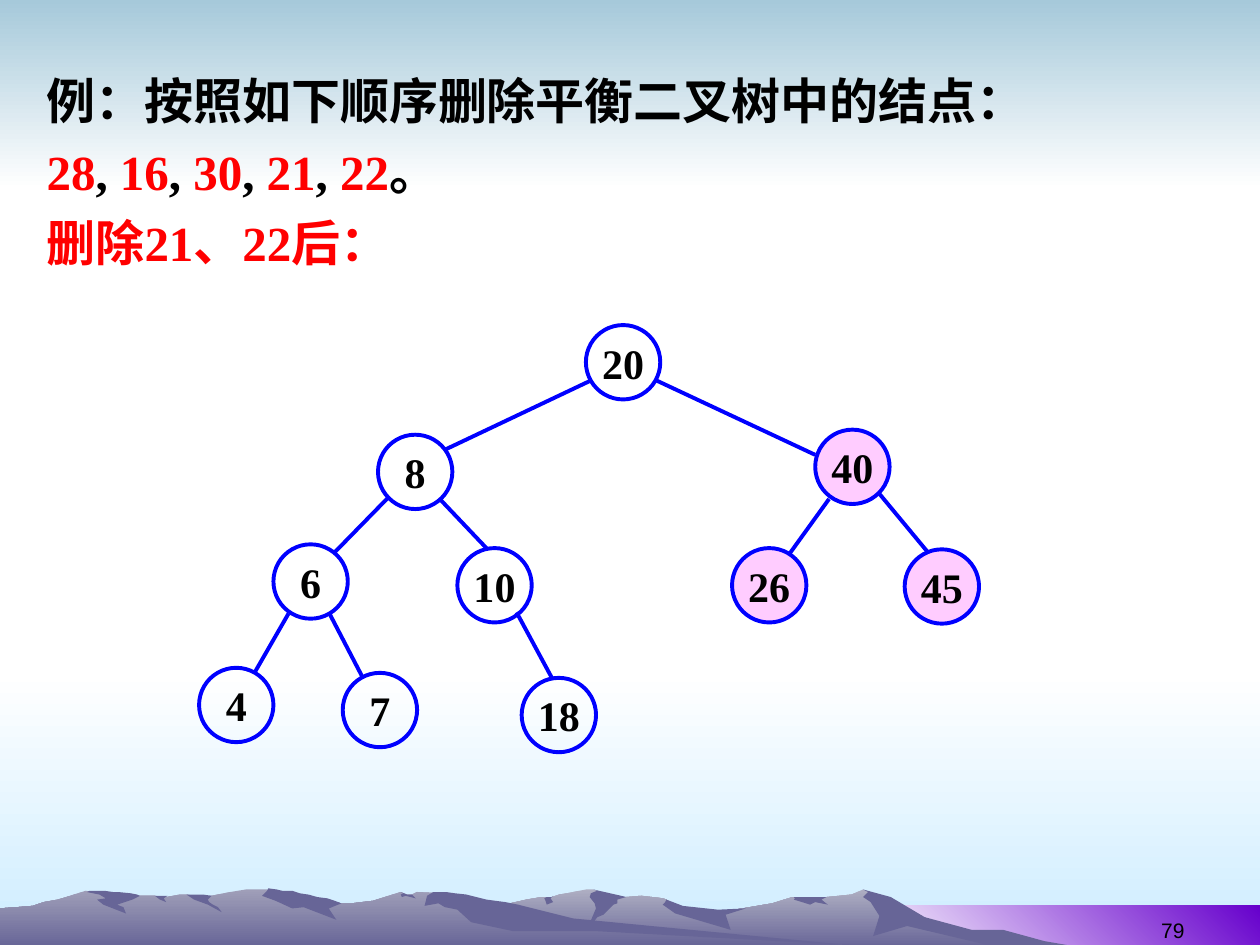
from lxml import etree
from pptx import Presentation
from pptx import util as u
from pptx.dml.color import RGBColor
from pptx.enum import shapes, text
from pptx.oxml.ns import qn

BLACK = RGBColor(0x00, 0x00, 0x00)
WHITE = RGBColor(0xFF, 0xFF, 0xFF)
RED = RGBColor(0xFF, 0x00, 0x00)
BLUE = RGBColor(0x00, 0x00, 0xFF)
PINK = RGBColor(0xFF, 0xCC, 0xFF)
SKY = RGBColor(0xA6, 0xC9, 0xDA)
ICE = RGBColor(0xCC, 0xEC, 0xFF)
PURPLE = RGBColor(0x66, 0x00, 0xCC)
ROCK = RGBColor(0x67, 0x65, 0x97)
FAR = RGBColor(0xAE, 0xAE, 0xC2)
NEAR = RGBColor(0x9F, 0x9E, 0xB8)

# left, top, width, height, first colour, last colour, angle
BANDS = [
    (0, 5.33, 10, 2.17, WHITE, ICE, 270),
    (0, 0, 10, 1.5, SKY, WHITE, 270),
    (6.83, 7.19, 3.17, 0.33, WHITE, PURPLE, 45),
]

# Outlines are in hundredths of an inch.
FAR_RIDGE = [
    (802, 746), (778, 740), (764, 738), (723, 725), (702, 712), (685, 706),
    (676, 710), (656, 712), (629, 712), (613, 717), (566, 725), (536, 721),
    (529, 714), (526, 713), (509, 711), (497, 712), (486, 713), (474, 707),
    (471, 706), (465, 706), (450, 709), (444, 710), (438, 712), (430, 712),
    (418, 714), (405, 717), (394, 719), (355, 725), (327, 731), (277, 745),
    (258, 752), (821, 752)]
FAR_SHADES = [
    [(796, 738), (771, 738), (734, 728), (707, 712), (685, 706), (689, 708),
     (685, 712), (691, 716), (698, 727), (693, 743), (720, 735), (792, 752),
     (858, 752), (829, 747)],
    [(471, 706), (474, 707), (469, 709), (468, 712), (472, 717), (473, 721),
     (465, 740), (474, 728), (479, 726), (487, 718), (490, 717), (490, 714),
     (497, 712), (493, 711)],
    [(529, 714), (528, 716), (526, 718), (536, 725), (580, 738), (576, 726),
     (592, 721), (570, 722), (542, 719)],
    [(650, 712), (630, 712), (631, 713), (630, 714), (643, 718), (647, 716),
     (657, 718), (652, 714), (656, 712)],
    [(433, 715), (432, 713), (434, 712), (438, 712), (439, 711), (437, 713),
     (439, 716), (434, 718)],
]
NEAR_RIDGE = [
    (690, 752), (667, 750), (432, 732), (354, 709), (331, 708), (327, 710),
    (323, 710), (318, 708), (296, 715), (279, 717), (271, 717), (260, 715),
    (236, 717), (223, 708), (219, 707), (212, 706), (195, 706), (189, 707),
    (183, 708), (178, 709), (168, 711), (160, 712), (148, 710), (143, 710),
    (132, 712), (128, 712), (123, 711), (111, 711), (94, 712), (68, 707),
    (56, 711), (46, 714), (35, 716), (26, 719), (14, 720), (0, 721),
    (0, 752)]
NEAR_SHADES = [
    [(212, 707), (208, 711), (219, 715), (232, 721), (241, 720), (267, 730),
     (261, 721), (271, 717), (266, 715), (260, 713), (252, 712), (245, 710),
     (238, 709), (232, 707), (224, 707), (220, 706), (213, 705)],
    [(370, 710), (361, 709), (354, 708), (344, 708), (339, 711), (337, 719),
     (348, 717), (353, 720), (363, 722), (374, 732), (407, 739), (472, 739),
     (690, 751), (683, 751), (455, 729), (427, 722), (411, 718), (401, 716),
     (386, 714)],
    [(318, 710), (320, 709), (318, 708), (323, 710), (327, 710), (330, 713),
     (326, 712), (322, 711), (319, 712)],
    [(154, 710), (161, 710), (168, 711), (165, 714), (166, 716), (169, 718),
     (173, 720), (176, 724), (165, 718), (154, 714), (148, 710)],
    [(133, 711), (130, 713), (132, 716), (127, 714), (123, 711)],
    [(109, 710), (111, 711), (105, 714), (93, 718), (98, 720), (100, 725),
     (82, 718), (77, 714), (84, 713), (79, 710), (69, 708), (71, 707),
     (83, 707), (90, 708), (94, 708), (104, 709)],
]

# from x, from y, to x, to y
EDGES = [
    (4.69, 3.02, 3.53, 3.57), (5.21, 3.02, 6.47, 3.61),
    (3.08, 3.95, 2.65, 4.39), (3.49, 3.96, 3.87, 4.36),
    (6.58, 3.96, 6.27, 4.39), (6.98, 3.92, 7.37, 4.39),
    (2.29, 4.87, 2.02, 5.34), (2.61, 4.86, 2.88, 5.38),
    (4.1, 4.86, 4.38, 5.38),
]
# key, left, top, fill
NODES = [
    ("20", 4.65, 2.58, None), ("8", 3, 3.45, None), ("40", 6.47, 3.41, PINK),
    ("6", 2.17, 4.32, None), ("10", 3.63, 4.35, None),
    ("26", 5.81, 4.35, PINK), ("45", 7.18, 4.36, PINK),
    ("4", 1.58, 5.3, None), ("7", 2.72, 5.34, None), ("18", 4.14, 5.38, None),
]

KEYS = ["28", "16", "30", "21", "22"]
ORDER = [(KEYS[0], RED)]
for key in KEYS[1:]:
    ORDER += [(", ", BLACK), (key, RED)]
LINES = [
    [("例：按照如下顺序删除平衡二叉树中的结点：", BLACK)],
    ORDER + [("。", BLACK)],
    [("删除21、22后：", RED)],
]


class Deck:
    """Holds the style and the current slide."""

    font = "Times New Roman"
    width = u.Pt(2.25)
    size = 0.59

    def __init__(self, slide):
        self.slide = slide
        self.shapes = slide.shapes

    def run(self, para, words, size, color=BLACK, bold=True, name=font):
        run = para.add_run()
        run.text = words
        font = run.font
        font.name, font.size, font.bold = name, u.Pt(size), bold
        font.color.rgb = color

    def paint(self, shape, colors, angle=270):
        """Fill with one colour or a two-stop gradient, without outline."""
        shape.shadow.inherit = False
        shape.line.fill.background()
        if len(colors) == 1:
            shape.fill.solid()
            shape.fill.fore_color.rgb = colors[0]
            return
        shape.fill.gradient()
        shape.fill.gradient_angle = angle
        for stop, color in zip(shape.fill.gradient_stops, colors):
            stop.color.rgb = color

    def band(self, x, y, w, h, first, last, angle):
        box = self.shapes.add_shape(
            shapes.MSO_SHAPE.RECTANGLE, *map(u.Inches, (x, y, w, h)))
        self.paint(box, (first, last), angle)

    def ridge(self, points, *colors):
        path = self.shapes.build_freeform(*points[0], scale=u.Inches(0.01))
        path.add_line_segments(points[1:], close=True)
        self.paint(path.convert_to_shape(), colors)

    def edge(self, *ends):
        line = self.shapes.add_connector(
            shapes.MSO_CONNECTOR.STRAIGHT, *map(u.Inches, ends))
        line.line.color.rgb = BLUE
        line.line.width = self.width
        etree.SubElement(line._element.spPr, qn("a:effectLst"))

    def node(self, key, x, y, fill):
        ball = self.shapes.add_shape(
            shapes.MSO_SHAPE.OVAL,
            *map(u.Inches, (x, y, self.size, self.size)))
        ball.shadow.inherit = False
        if fill is None:
            ball.fill.background()
        else:
            ball.fill.solid()
            ball.fill.fore_color.rgb = fill
        ball.line.color.rgb = BLUE
        ball.line.width = self.width
        frame = ball.text_frame
        frame.word_wrap = False
        frame.vertical_anchor = text.MSO_ANCHOR.MIDDLE
        para = frame.paragraphs[0]
        para.alignment = text.PP_ALIGN.CENTER
        self.run(para, key, 24)

    def title(self, lines):
        box = self.shapes.title
        box.left, box.top, box.width, box.height = map(
            u.Inches, (0.27, 0.42, 9.73, 1.45))
        self.shapes._spTree.append(box._element)  # in front of the bands
        frame = box.text_frame
        frame.word_wrap = True
        frame.auto_size = text.MSO_AUTO_SIZE.NONE
        frame.vertical_anchor = text.MSO_ANCHOR.TOP
        for i, runs in enumerate(lines):
            para = frame.add_paragraph() if i else frame.paragraphs[0]
            props = para._p.get_or_add_pPr()
            props.set("marL", str(u.Inches(0.38)))
            props.set("indent", str(u.Inches(-0.38)))
            para.alignment = text.PP_ALIGN.LEFT
            para.line_spacing = 1.2
            for words, color in runs:
                self.run(para, words, 28, color)

    def number(self, words):
        box = self.shapes.add_textbox(*map(u.Inches, (7.17, 7.03, 2.33, 0.5)))
        frame = box.text_frame
        frame.word_wrap = True
        frame.vertical_anchor = text.MSO_ANCHOR.BOTTOM
        para = frame.paragraphs[0]
        para.alignment = text.PP_ALIGN.RIGHT
        self.run(para, words, 12, bold=False, name="Arial")


def main():
    show = Presentation()
    show.slide_width, show.slide_height = u.Inches(10), u.Inches(7.5)
    deck = Deck(show.slides.add_slide(show.slide_layouts[5]))
    for band in BANDS:
        deck.band(*band)
    for ridge, color, shades in ((FAR_RIDGE, FAR, FAR_SHADES),
                                 (NEAR_RIDGE, NEAR, NEAR_SHADES)):
        deck.ridge(ridge, color, ROCK)
        for shade in shades:
            deck.ridge(shade, ROCK)
    deck.number("79")
    for node in NODES:
        deck.node(*node)
    for edge in EDGES:
        deck.edge(*edge)
    deck.title(LINES)
    show.save("out.pptx")


if __name__ == "__main__":
    main()
